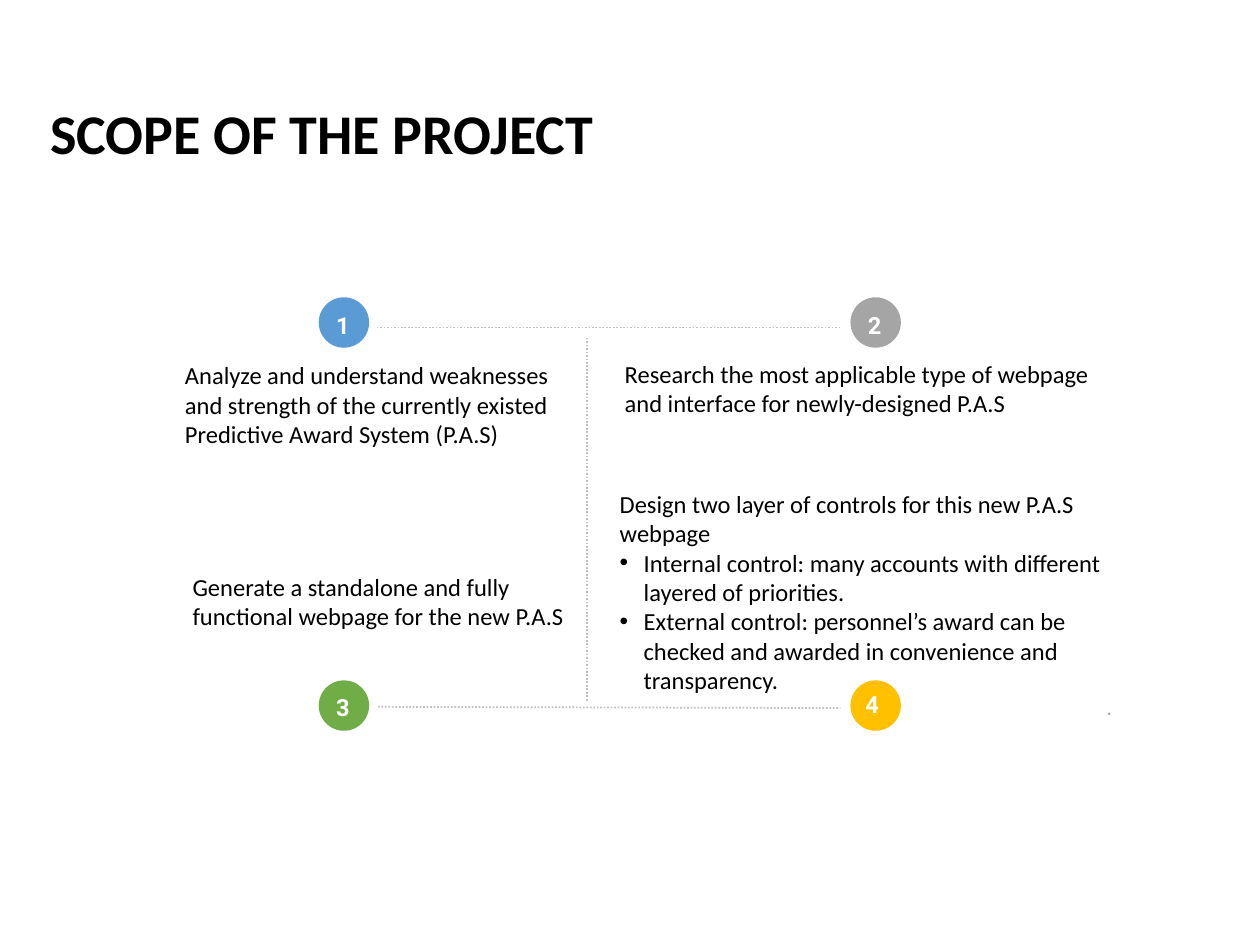
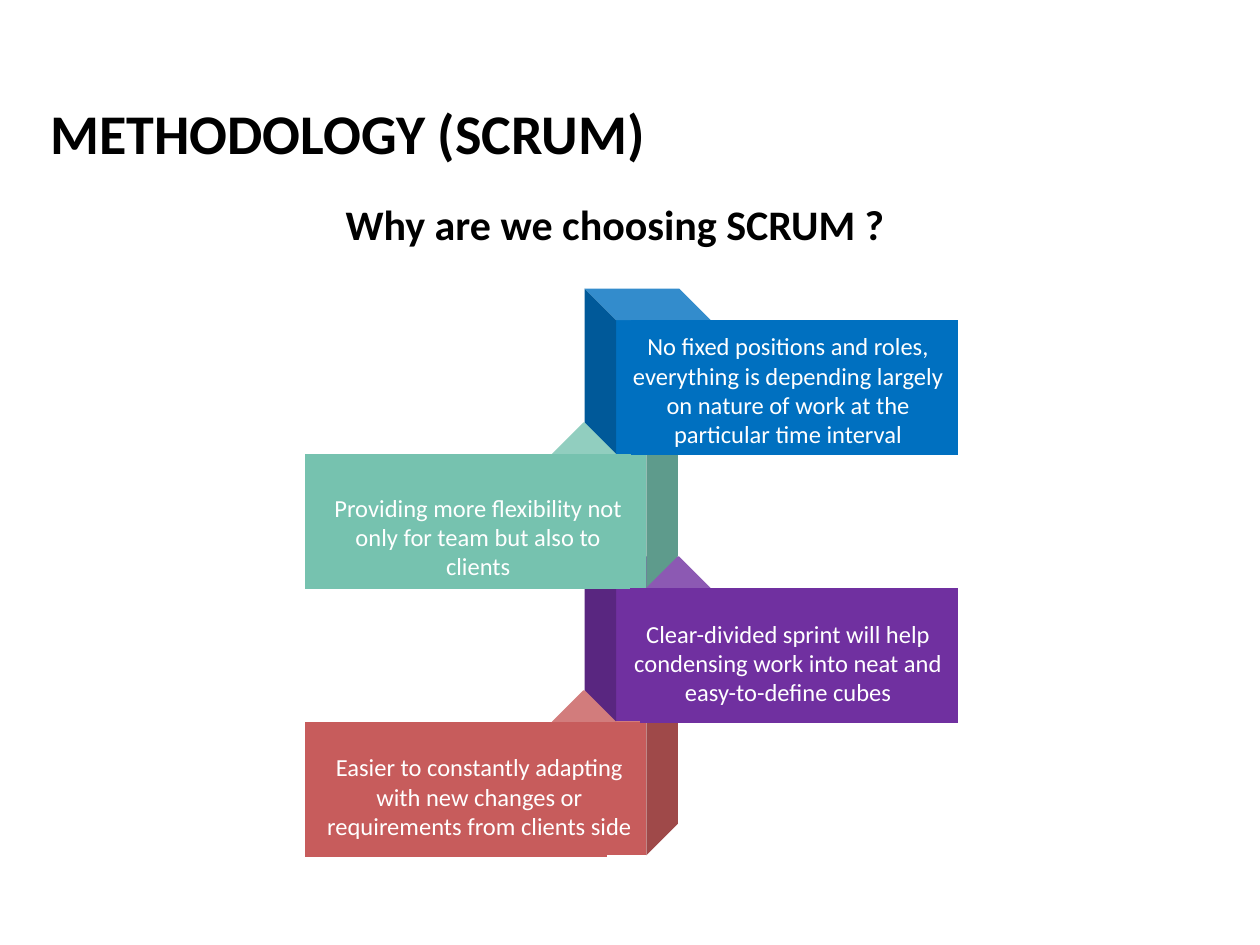
import pptx
import pptx.util
import pptx.dml.color
import pptx.enum.dml
import pptx.enum.shapes
import pptx.enum.text
import pptx.oxml.ns
import lxml.etree

Inches, Pt = pptx.util.Inches, pptx.util.Pt
RGB = pptx.dml.color.RGBColor
Kind = pptx.enum.shapes.MSO_SHAPE
Align = pptx.enum.text.PP_ALIGN
qn = pptx.oxml.ns.qn

HUE = {"ink": "000000", "white": "FFFFFF", "rule": "BFBFBF", "dot": "A6A6A6",
       "sky": "5B9BD5", "gray": "A5A5A5", "green": "70AD47", "gold": "FFC000",
       "blue": "0070C0", "teal": "76C2AF", "plum": "7030A0", "red": "C75C5C"}


def write(slide, box, lines, size=14, hue="ink", bold=False, face="Calibri",
          wrap=True, align=Align.LEFT):
    """Add a text box and return its paragraphs."""
    frame = slide.shapes.add_textbox(*map(Inches, box)).text_frame
    frame.word_wrap = wrap
    frame.text = "\n".join(lines)
    for para in frame.paragraphs:
        para.alignment = align
        para.font.size = Pt(size)
        para.font.name = face
        para.font.bold = bold
        para.font.color.rgb = RGB.from_string(HUE[hue])
    return frame.paragraphs


def draw(slide, kind, box, hue):
    """Add a plain filled shape."""
    shape = slide.shapes.add_shape(kind, *map(Inches, box))
    shape.shadow.inherit = False
    shape.fill.solid()
    shape.fill.fore_color.rgb = RGB.from_string(HUE[hue])
    shape.line.fill.background()
    return shape


deck = pptx.Presentation()
deck.slide_width, deck.slide_height = Inches(10), Inches(7.5)

# Both slides with their titles
pages = []
for title, width in [("SCOPE OF THE PROJECT", 4.56), ("METHODOLOGY (SCRUM)", 4.98)]:
    page = deck.slides.add_slide(deck.slide_layouts[6])
    write(page, (0.3, 0.73, width, 0.64), [title], 32, bold=True, wrap=False)
    pages.append(page)
scope, method = pages

# Scope: dotted rules
for x1, y1, x2, y2 in [(4.66, 2.68, 4.66, 5.57), (2.99, 2.6, 6.67, 2.6),
                       (3, 5.61, 6.67, 5.62)]:
    rule = scope.shapes.add_connector(pptx.enum.shapes.MSO_CONNECTOR.STRAIGHT,
                                      *map(Inches, (x1, y1, x2, y2)))
    rule.line.color.rgb = RGB.from_string(HUE["rule"])
    rule.line.width = Pt(1)
    rule.line.dash_style = pptx.enum.dml.MSO_LINE.ROUND_DOT
    lxml.etree.SubElement(rule.element.spPr, qn("a:effectLst"))

# Scope: numbered discs, each with its goal
goals = [
    ("1", "sky", 2.53, 2.36, (2.57, 2.42), (1.37, 2.81, 3.24, 0.81),
     ["Analyze and understand weaknesses and strength of the currently existed "
      "Predictive Award System (P.A.S)"]),
    ("2", "gray", 6.75, 2.36, (6.79, 2.42), (4.86, 2.8, 4.14, 0.57),
     ["Research the most applicable type of webpage and interface for "
      "newly-designed P.A.S"]),
    ("3", "green", 2.53, 5.4, (2.57, 5.45), (1.43, 4.49, 3.23, 0.57),
     ["Generate a standalone and fully functional webpage for the new P.A.S"]),
    ("4", "gold", 6.75, 5.4, (6.77, 5.43), (4.82, 3.83, 4.14, 1.95),
     ["Design two layer of controls for this new P.A.S webpage",
      "Internal control: many accounts with different layered of priorities.",
      "External control: personnel’s award can be checked and awarded in "
      "convenience and transparency.",
      ". "]),
]
for num, hue, left, top, spot, box, lines in goals:
    draw(scope, Kind.OVAL, (left, top, 0.4, 0.4), hue)
    paras = write(scope, box, lines)
    write(scope, (*spot, 0.32, 0.33), [num], 13.5, "white", True, "Roboto", False)

# Scope: bullets and closing dot of the last goal
for para in paras[1:3]:
    props = para._p.get_or_add_pPr()
    props.set("marL", str(Inches(0.19)))
    props.set("indent", str(Inches(-0.19)))
    font = lxml.etree.SubElement(props, qn("a:buFont"), typeface="Arial")
    mark = lxml.etree.SubElement(props, qn("a:buChar"), char="•")
    base = props.find(qn("a:defRPr"))
    if base is not None:
        font.addnext(mark)
        base.addprevious(font)
        base.addprevious(mark)
paras[3].alignment = Align.RIGHT
paras[3].font.size = Pt(12)
paras[3].font.color.rgb = RGB.from_string(HUE["dot"])

# Method: subtitle
write(method, (2.57, 1.53, 4.62, 0.5), ["Why are we choosing SCRUM ?"], 24,
      bold=True, wrap=False, align=Align.CENTER)

# Method: tower of blocks, top to bottom, the right-hand ones mirrored
STEP = 1.063
blocks = [
    ("blue", True, 5.01, 2.59, (4.41, 2.58, 3.19, 1.04),
     "No fixed positions and roles, everything is depending largely on nature of "
     "work at the particular time interval"),
    ("teal", False, 2.42, 2.58, (1.95, 3.86, 3.19, 0.81),
     "Providing more flexibility not only for team but also to clients"),
    ("plum", True, 5.08, 2.52, (4.41, 4.86, 3.19, 0.81),
     "Clear-divided sprint will help condensing work into neat and "
     "easy-to-define cubes"),
    ("red", False, 2.42, 2.4, (1.96, 5.92, 3.19, 0.81),
     "Easier to constantly adapting with new changes or requirements from "
     "clients side"),
]
for row, (hue, right, *rest) in reversed(list(enumerate(blocks))):
    cube = draw(method, Kind.CUBE,
                (4.64 if right else 4.38, 2.29 + row * STEP, 1, 1.31), hue)
    if right:
        cube.element.spPr.find(qn("a:xfrm")).set("flipH", "1")

# Method: front panels and their words
for row, (hue, right, left, width, box, words) in enumerate(blocks):
    panel = draw(method, Kind.PARALLELOGRAM,
                 (left, 2.54 + row * STEP, width, 1.07), hue)
    panel.adjustments[0] = 0
    para = write(method, box, [words], hue="white", align=Align.CENTER)[0]
    para.level = 1
    para._p.get_or_add_pPr().set("marL", str(Inches(0.5)))

deck.save("out.pptx")
